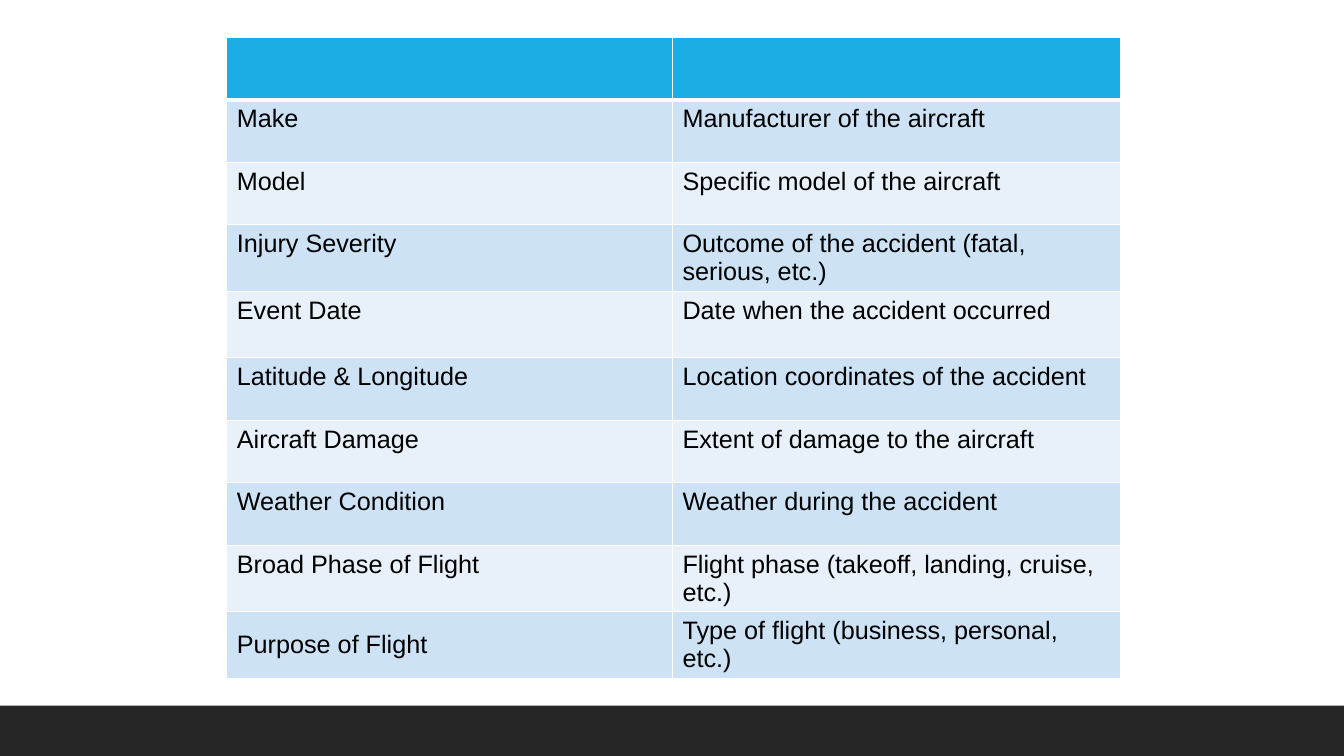
from dataclasses import dataclass

from lxml import etree
from pptx import Presentation
from pptx.dml.color import RGBColor
from pptx.enum import shapes, text
from pptx.oxml import ns
from pptx.util import Inches, Pt


@dataclass(frozen=True)
class Theme:
    font: str = "Arial"
    text_size: int = 18
    ink: str = "000000"
    footer: str = "262626"
    header: str = "1CADE4"
    bands: tuple = ("CDE3F5", "E8F1FA")
    border: str = "FFFFFF"
    border_width: int = 1
    header_rule_width: int = 3


THEME = Theme()
COLUMN_WIDTHS = (4.42, 4.44)
ROW_HEIGHT = 0.62
TALL_ROW, TALL_HEIGHT = 4, 0.66
FIELDS = (
    ("Make", "Manufacturer of the aircraft"),
    ("Model", "Specific model of the aircraft"),
    ("Injury Severity", "Outcome of the accident (fatal, serious, etc.)"),
    ("Event Date", "Date when the accident occurred"),
    ("Latitude & Longitude", "Location coordinates of the accident"),
    ("Aircraft Damage", "Extent of damage to the aircraft"),
    ("Weather Condition", "Weather during the accident"),
    ("Broad Phase of Flight", "Flight phase (takeoff, landing, cruise, etc.)"),
    ("Purpose of Flight", "Type of flight (business, personal, etc.)"),
)


def add_footer_bar(slide, width):
    bar = slide.shapes.add_shape(
        shapes.MSO_SHAPE.RECTANGLE, 0, Inches(7), width, Inches(0.5))
    bar.shadow.inherit = False
    bar.fill.solid()
    bar.fill.fore_color.rgb = RGBColor.from_string(THEME.footer)
    bar.line.fill.background()


def set_borders(cell, top, bottom):
    """Draw the four cell borders; top and bottom are widths in points."""
    properties = cell._tc.get_or_add_tcPr()
    side = THEME.border_width
    for tag, width in (("lnL", side), ("lnR", side), ("lnT", top), ("lnB", bottom)):
        line = etree.SubElement(properties, ns.qn(f"a:{tag}"), w=str(Pt(width)))
        fill = etree.SubElement(line, ns.qn("a:solidFill"))
        etree.SubElement(fill, ns.qn("a:srgbClr"), val=THEME.border)


def fill_cell(cell, color):
    cell.fill.solid()
    cell.fill.fore_color.rgb = RGBColor.from_string(color)


def write_cell(cell, words):
    cell.text_frame.text = words
    font = cell.text_frame.paragraphs[0].runs[0].font
    font.name = THEME.font
    font.size = Pt(THEME.text_size)
    font.color.rgb = RGBColor.from_string(THEME.ink)


def add_field_table(slide):
    row_count = len(FIELDS) + 1
    height = ROW_HEIGHT * (row_count - 1) + TALL_HEIGHT
    table = slide.shapes.add_table(
        row_count, len(COLUMN_WIDTHS), Inches(2.25), Inches(0.37),
        Inches(sum(COLUMN_WIDTHS)), Inches(height)).table
    for column, width in zip(table.columns, COLUMN_WIDTHS):
        column.width = Inches(width)

    for index, row in enumerate(table.rows):
        row.height = Inches(TALL_HEIGHT if index == TALL_ROW else ROW_HEIGHT)
        top = THEME.header_rule_width if index == 1 else THEME.border_width
        bottom = THEME.header_rule_width if index == 0 else THEME.border_width
        color = THEME.bands[(index - 1) % 2] if index else THEME.header
        for cell in row.cells:
            set_borders(cell, top, bottom)
            fill_cell(cell, color)

    for index, field in enumerate(FIELDS, start=1):
        for column, words in enumerate(field):
            write_cell(table.cell(index, column), words)
    for cell in table.rows[row_count - 1].cells:
        cell.vertical_anchor = text.MSO_ANCHOR.MIDDLE


def main():
    presentation = Presentation()
    presentation.slide_width = Inches(13.33)
    presentation.slide_height = Inches(7.5)
    slide = presentation.slides.add_slide(presentation.slide_layouts[6])
    add_footer_bar(slide, presentation.slide_width)
    add_field_table(slide)
    presentation.save("out.pptx")


if __name__ == "__main__":
    main()
